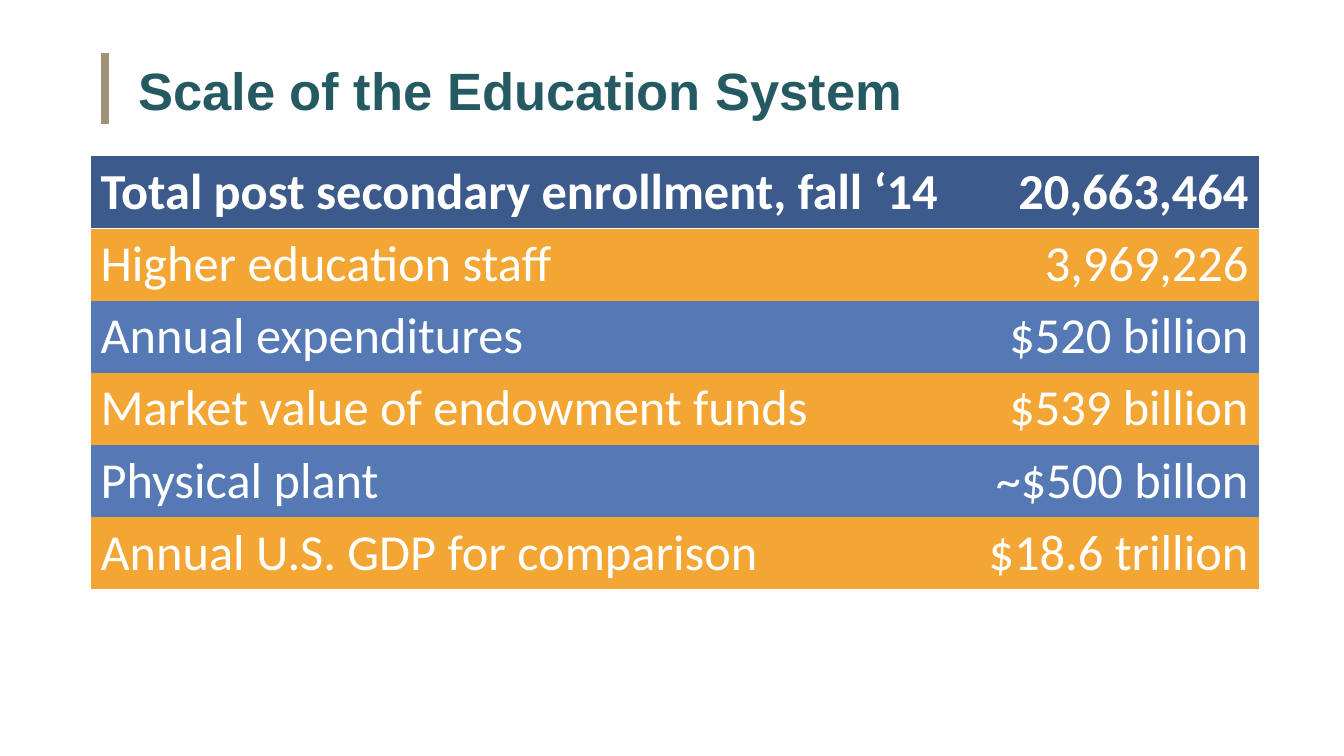
from dataclasses import dataclass

from lxml import etree
from pptx import Presentation
from pptx.dml.color import RGBColor
from pptx.enum.shapes import MSO_CONNECTOR
from pptx.enum.text import MSO_ANCHOR, PP_ALIGN
from pptx.oxml import parse_xml
from pptx.oxml.ns import nsdecls, qn
from pptx.util import Inches, Pt

LEFT, RIGHT = PP_ALIGN.LEFT, PP_ALIGN.RIGHT
TOP = MSO_ANCHOR.TOP
STRAIGHT = MSO_CONNECTOR.STRAIGHT
TITLE_ONLY = 5
PLAIN_TABLE = "{2D5ABB26-0587-4C30-8999-92F81FD0307C}"


@dataclass(frozen=True)
class Theme:
    title_font: str = "Arial"
    title_size: int = 50
    title_color: str = "255A63"
    accent: str = "A09378"
    accent_width: int = 8
    table_font: str = "Calibri"
    table_size: int = 48
    table_text: str = "FFFFFF"
    header: str = "3C5A8C"
    bands: tuple = ("F4A634", "5479B5")
    rule: str = "FFFFFF"
    rule_width: int = 2
    inset_x: float = 0.13
    inset_y: float = 0.07


THEME = Theme()
SLIDE_SIZE = (17.78, 10)
TABLE_ORIGIN = (1.2, 2.07)
COLUMNS = (11.42, 4.03)
ROW_HEIGHT = 0.93

TITLE = "Scale of the Education System"
FIGURES = (
    ("Total post secondary enrollment, fall ‘14", "20,663,464"),
    ("Higher education staff", "3,969,226"),
    ("Annual expenditures", "$520 billion"),
    ("Market value of endowment funds", "$539 billion"),
    ("Physical plant", "~$500 billon"),
    ("Annual U.S. GDP for comparison", "$18.6 trillion"),
)


def style_font(font, name, size, color, bold):
    font.name, font.size, font.bold = name, Pt(size), bold
    font.color.rgb = RGBColor.from_string(color)


def set_margins(box):
    """Apply the theme's insets to a text frame or a table cell."""
    box.margin_left = box.margin_right = Inches(THEME.inset_x)
    box.margin_top = box.margin_bottom = Inches(THEME.inset_y)


def add_title(s, text, left, top, width, height):
    sp = s.shapes.title
    sp.left, sp.top = Inches(left), Inches(top)
    sp.width, sp.height = Inches(width), Inches(height)
    tf = sp.text_frame
    tf.text = text
    tf.word_wrap = True
    tf.vertical_anchor = TOP
    set_margins(tf)
    p = tf.paragraphs[0]
    p.alignment = LEFT
    style_font(p.font, THEME.title_font, THEME.title_size, THEME.title_color, True)


def add_accent_bar(s, x, top, bottom):
    line = s.shapes.add_connector(STRAIGHT, Inches(x), Inches(top), Inches(x), Inches(bottom))
    line.line.color.rgb = RGBColor.from_string(THEME.accent)
    line.line.width = Pt(THEME.accent_width)
    etree.SubElement(line._element.spPr, qn("a:effectLst"))


def add_bottom_rule(cell):
    border = parse_xml(
        f'<a:lnB {nsdecls("a")} w="{Pt(THEME.rule_width)}"><a:solidFill>'
        f'<a:srgbClr val="{THEME.rule}"/></a:solidFill></a:lnB>'
    )
    cell._tc.get_or_add_tcPr().insert(0, border)


def fill_cell(cell, text, alignment, color, bold):
    cell.text = text
    set_margins(cell)
    cell.fill.solid()
    cell.fill.fore_color.rgb = RGBColor.from_string(color)
    p = cell.text_frame.paragraphs[0]
    p.alignment = alignment
    style_font(p.font, THEME.table_font, THEME.table_size, THEME.table_text, bold)


def add_figures_table(s, rows):
    left, top = TABLE_ORIGIN
    frame = s.shapes.add_table(
        len(rows), len(COLUMNS), Inches(left), Inches(top),
        Inches(sum(COLUMNS)), Inches(ROW_HEIGHT * len(rows)),
    )
    table = frame.table
    table._tbl.tblPr.find(qn("a:tableStyleId")).text = PLAIN_TABLE
    for column, width in zip(table.columns, COLUMNS):
        column.width = Inches(width)
    for i, values in enumerate(rows):
        is_header = i == 0
        color = THEME.header if is_header else THEME.bands[(i - 1) % len(THEME.bands)]
        for cell, text, alignment in zip(table.rows[i].cells, values, (LEFT, RIGHT)):
            fill_cell(cell, text, alignment, color, is_header)
            if is_header:
                add_bottom_rule(cell)


def main():
    prs = Presentation()
    prs.slide_width, prs.slide_height = map(Inches, SLIDE_SIZE)
    s = prs.slides.add_slide(prs.slide_layouts[TITLE_ONLY])
    add_figures_table(s, FIGURES)
    add_title(s, TITLE, 1.7, 0.7, 11.23, 0.99)
    add_accent_bar(s, 1.39, 0.7, 1.64)
    prs.save("out.pptx")


if __name__ == "__main__":
    main()
